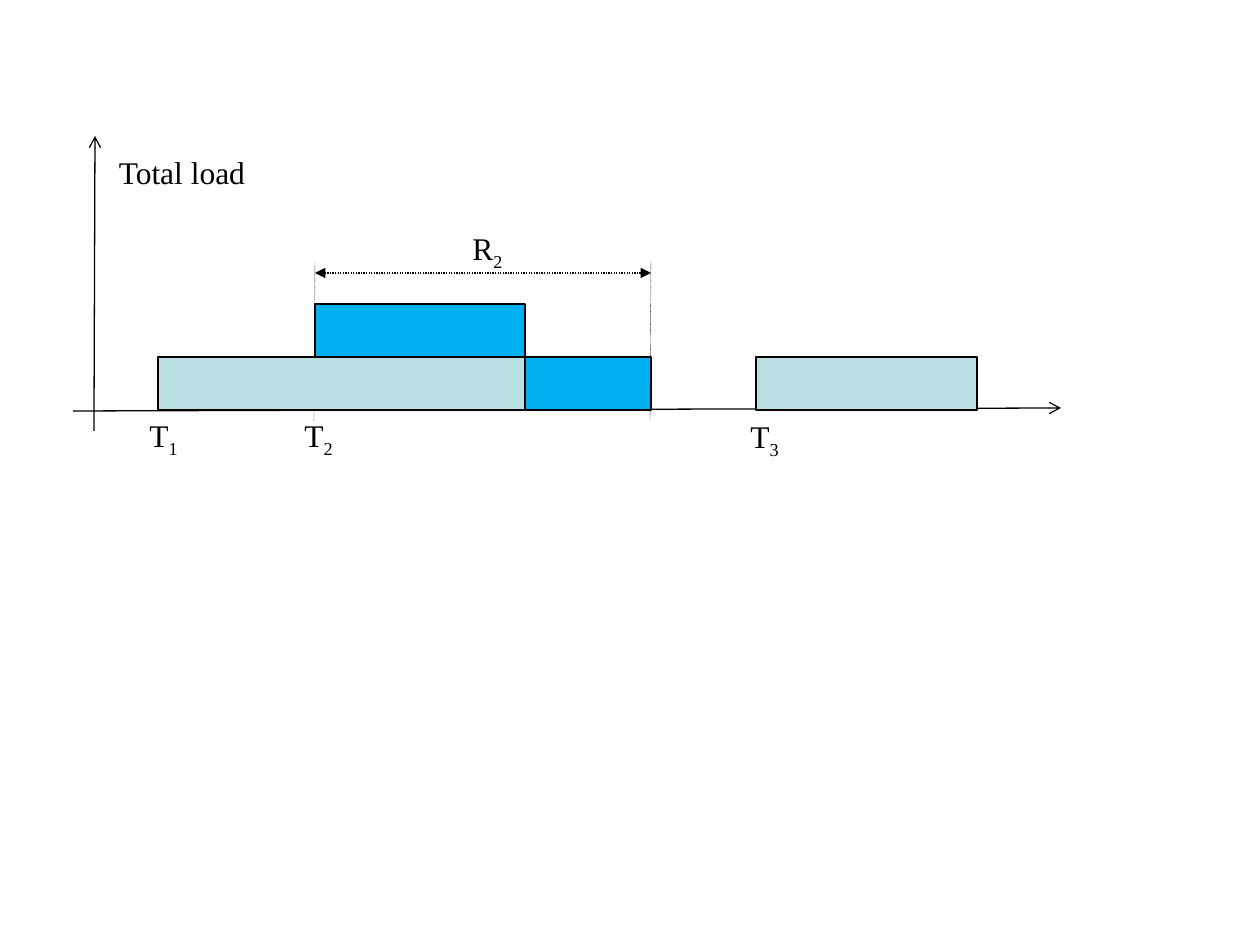
from lxml import etree
from pptx import Presentation
from pptx import util as u
from pptx.dml.color import RGBColor
from pptx.enum import dml, shapes, text
from pptx.oxml import ns

BLACK = RGBColor(0x00, 0x00, 0x00)
PALE_TEAL = RGBColor(0xBB, 0xE0, 0xE3)
SKY_BLUE = RGBColor(0x00, 0xB0, 0xF0)

PX_PER_INCH = 126
FONT_FORMAT = {"name": "Times New Roman", "size": u.Pt(18)}
FRAME_FORMAT = {
    "word_wrap": False,
    "auto_size": text.MSO_AUTO_SIZE.SHAPE_TO_FIT_TEXT,
    "margin_left": u.Inches(0.1),
    "margin_right": u.Inches(0.1),
    "margin_top": u.Inches(0.05),
    "margin_bottom": u.Inches(0.05),
}


def px(*lengths):
    return [u.Emu(round(n * u.Inches(1) / PX_PER_INCH)) for n in lengths]


class Diagram:
    """Style and current slide of the load diagram."""

    def __init__(self, slide):
        self.slide = slide

    def outline(self, line, width=0.75):
        line.color.rgb = BLACK
        line.width = u.Pt(width)

    def line(self, x1, y1, x2, y2, width=0.75, dotted=False, head=None, tail=None):
        connector = self.slide.shapes.add_connector(
            shapes.MSO_CONNECTOR.STRAIGHT, *px(x1, y1, x2, y2))
        self.outline(connector.line, width)
        if dotted:
            connector.line.dash_style = dml.MSO_LINE.ROUND_DOT
        ln = connector.line._get_or_add_ln()
        for end, kind in (("a:headEnd", head), ("a:tailEnd", tail)):
            if kind:
                etree.SubElement(ln, ns.qn(end), type=kind)
        etree.SubElement(connector._element.spPr, ns.qn("a:effectLst"))

    def guide(self, x):
        # A slight slant keeps the hairline dots apart when drawn
        self.line(x, 262, x - 1, 421, 0.25, dotted=True)

    def bar(self, x, y, width, height, color):
        bar = self.slide.shapes.add_shape(
            shapes.MSO_SHAPE.RECTANGLE, *px(x, y, width, height))
        bar.shadow.inherit = False
        bar.fill.solid()
        bar.fill.fore_color.rgb = color
        self.outline(bar.line)

    def label(self, x, y, width, height, words, subscript=None):
        frame = self.slide.shapes.add_textbox(*px(x, y, width, height)).text_frame
        for name, value in FRAME_FORMAT.items():
            setattr(frame, name, value)
        paragraph = frame.paragraphs[0]
        paragraph.alignment = text.PP_ALIGN.CENTER
        for part, baseline in ((words, None), (subscript, "-25000")):
            if not part:
                continue
            run = paragraph.add_run()
            run.text = part
            for name, value in FONT_FORMAT.items():
                setattr(run.font, name, value)
            run.font.color.rgb = BLACK
            if baseline:
                run._r.get_or_add_rPr().set("baseline", baseline)

    def symbol(self, x, y, letter, index):
        self.label(x, y, 57, 55, letter, index)


def main():
    prs = Presentation()
    prs.slide_width, prs.slide_height = u.Inches(10), u.Inches(7.5)
    diagram = Diagram(prs.slides.add_slide(prs.slide_layouts[6]))

    # Moments on the time axis and the two load levels
    t1, t2, first_end, second_end, t3, third_end = 158, 315, 525, 651, 756, 977
    level = 53
    lower = 357
    upper = lower - level

    # Axes
    diagram.line(73, 411, 1061, 408, tail="arrow")
    diagram.line(94, 431, 95, 136, tail="arrow")
    diagram.label(105, 147, 154, 50, "Total load")

    # Start of the second job, behind the bars
    diagram.guide(t2)

    # Arrival times
    for x, y, index in ((135, 410, "1"), (290, 410, "2"), (736, 411, "3")):
        diagram.symbol(x, y, "T", index)

    # Jobs
    for start, end, top, color in (
        (t1, first_end, lower, PALE_TEAL),
        (t2, first_end, upper, SKY_BLUE),
        (first_end, second_end, lower, SKY_BLUE),
        (t3, third_end, lower, PALE_TEAL),
    ):
        diagram.bar(start, top, end - start, level, color)

    # Response time of the second job
    diagram.guide(second_end)
    diagram.line(t2, 273, second_end, 273, dotted=True, head="triangle", tail="triangle")
    diagram.symbol(459, 223, "R", "2")

    prs.save("out.pptx")


if __name__ == "__main__":
    main()
